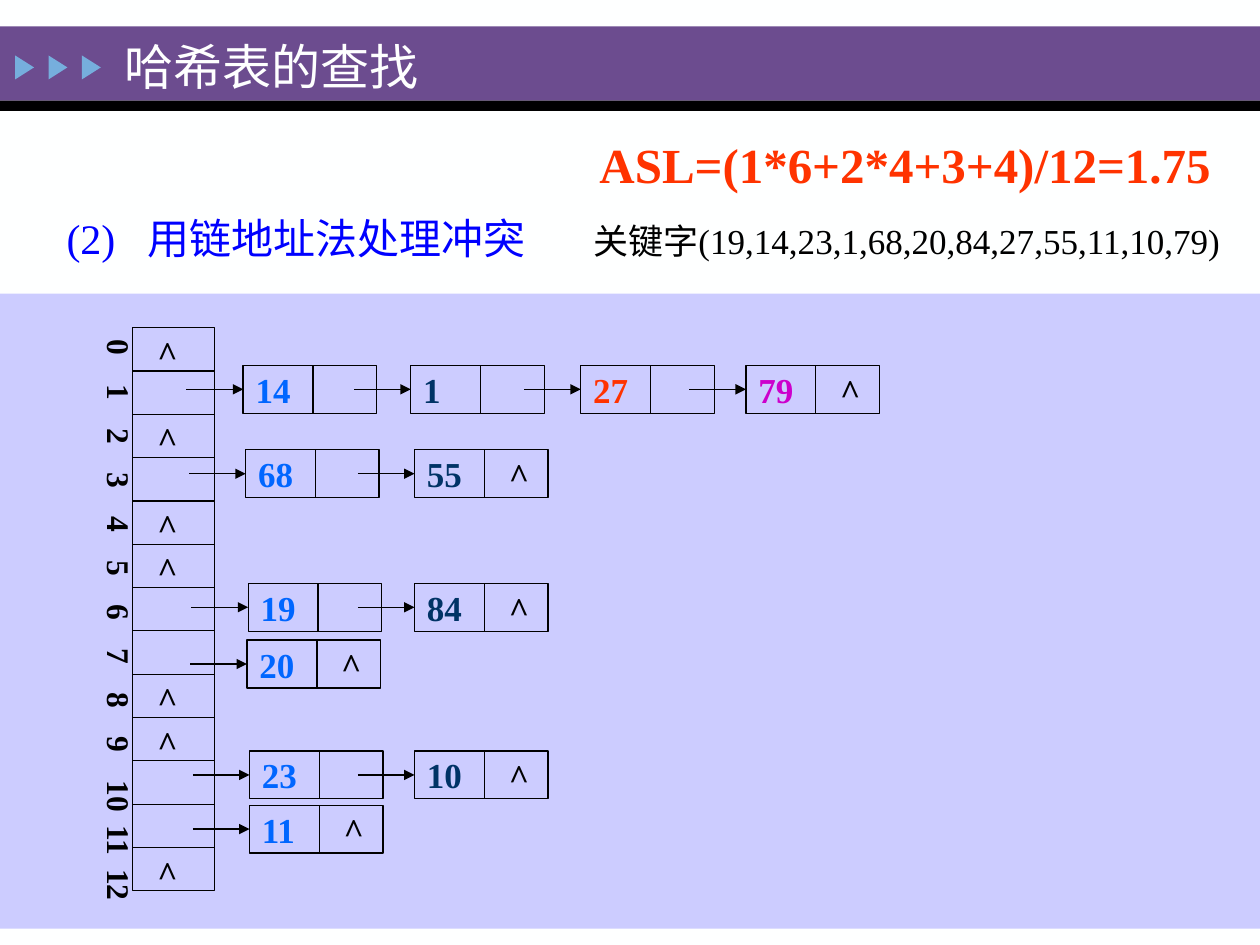
from lxml import etree
from pptx import Presentation, util as u
from pptx.dml.color import RGBColor
from pptx.enum import shapes, text
from pptx.oxml.ns import qn

COLORS = {
    "paper": "FEFFFF", "banner": "6C4C8F", "black": "000000",
    "marker": "76AEDD", "panel": "CCCCFF", "heading": "0000FF",
    "first": "0066FF", "second": "003366", "third": "FF3300", "fourth": "CC00CC",
}
FONT = "Times New Roman"
COLUMNS, ROWS = 100, 75
NODE_ORDER = ["first", "second", "third", "fourth"]
NODE_WIDTH, NODE_HEIGHT, NODE_SPLIT, ARROW_LENGTH = 10.6, 3.8, 5.55, 4.5
BUCKETS = 13
EMPTY_BUCKETS = [0, 2, 4, 5, 8, 9, 12]
CHAINS = [
    (29.0, [("14", 19.3), ("1", 32.6), ("27", 46.1), ("79", 59.2)]),
    (35.7, [("68", 19.5), ("55", 32.9)]),
    (46.3, [("19", 19.7), ("84", 32.9)]),
    (50.8, [("20", 19.6)]),
    (59.6, [("23", 19.8), ("10", 32.9)]),
    (63.9, [("11", 19.8)]),
]

deck = Presentation()
deck.slide_width, deck.slide_height = u.Inches(10), u.Inches(7.5)
COLUMN, ROW = deck.slide_width / COLUMNS, deck.slide_height / ROWS


def color(name):
    return RGBColor.from_string(COLORS[name])


def place(left, top, width, height):
    return [u.Emu(round(n * size)) for n, size in
            zip((left, top, width, height), (COLUMN, ROW, COLUMN, ROW))]


def write(frame, words, size=20, ink="black", bold=False, anchor="TOP", tabs=(), vertical=False):
    frame.word_wrap = True
    frame.vertical_anchor = text.MSO_ANCHOR[anchor]
    if vertical:
        frame._txBody.bodyPr.set("vert", "eaVert")
        frame.margin_bottom = 0
    paragraph = frame.paragraphs[0]
    paragraph.alignment = text.PP_ALIGN.LEFT
    if tabs:
        stops = etree.SubElement(paragraph._p.get_or_add_pPr(), qn("a:tabLst"))
        for stop in tabs:
            etree.SubElement(stops, qn("a:tab"), pos=str(round(stop * COLUMN)), algn="l")
    run = paragraph.add_run()
    run.text = words
    run.font.name, run.font.size, run.font.bold = FONT, u.Pt(size), bold
    run.font.color.rgb = color(ink)


def label(slide, box, words, **style):
    write(slide.shapes.add_textbox(*place(*box)).text_frame, words, **style)


def block(slide, box, fill=None, kind="RECTANGLE"):
    shape = slide.shapes.add_shape(shapes.MSO_SHAPE[kind], *place(*box))
    shape.shadow.inherit = False
    if fill:
        shape.fill.solid()
        shape.fill.fore_color.rgb = color(fill)
        shape.line.fill.background()
    else:
        shape.fill.background()
        shape.line.color.rgb = color("black")
        shape.line.width = u.Pt(0.75)
    return shape


def rule(slide, start, end, target=None):
    line = slide.shapes.add_connector(shapes.MSO_CONNECTOR.STRAIGHT, *place(*start, *end))
    line.line.color.rgb = color("black")
    line.line.width = u.Pt(0.75)
    if target is not None:
        line.end_connect(target, 1)
        etree.SubElement(line.line._get_or_add_ln(), qn("a:tailEnd"), type="triangle")
    etree.SubElement(line._element.spPr, qn("a:effectLst"))


def caret(slide, left, top):
    label(slide, (left, top, 3.6, 4.3), "^", bold=True)


def banner(slide, left, top, width, height):
    bar = height * 0.88
    block(slide, (left, top, width, bar), "banner")
    block(slide, (left, top + bar, width, height - bar), "black")
    for step in range(3):
        marker = block(slide, (left + 1 + 2.65 * step, top + 2.5, 1.9, 1.5),
                       "marker", "ISOSCELES_TRIANGLE")
        marker.rotation = 90
    label(slide, (left + 8.9, top + 0.3, 35.5, 5.6), "哈希表的查找",
          size=28, ink="paper", anchor="MIDDLE")


def introduction(slide, left, top, width, height):
    label(slide, (left, top + 6.2, 40, 5.1), "(2)\t用链地址法处理冲突",
          size=24, ink="heading", tabs=[6.4])
    label(slide, (left + 42.3, top, 50.6, 5.7), "ASL=(1*6+2*4+3+4)/12=1.75",
          size=28, ink="third", bold=True)
    label(slide, (left + 41.8, top + 6.7, 51.8, 4.3),
          "关键字(19,14,23,1,68,20,84,27,55,11,10,79)")


def bucket_column(slide, left, top, width, height):
    pitch = height / BUCKETS
    block(slide, (left, top, width, height))
    for bucket in range(1, BUCKETS):
        y = top + pitch * bucket
        rule(slide, (left, y), (left + width, y))
    label(slide, (left - 4.1, top, 5.1, height + 1.6),
          "\t".join(str(bucket) for bucket in range(BUCKETS)), size=18, bold=True,
          tabs=[3.5 * bucket for bucket in range(1, BUCKETS)], vertical=True)
    for bucket in EMPTY_BUCKETS:
        caret(slide, left + 1, top + pitch * bucket - 0.2)


def chain(slide, top, nodes):
    middle = top + NODE_HEIGHT / 2
    for (key, left), ink in zip(nodes, NODE_ORDER):
        node = block(slide, (left, top, NODE_WIDTH, NODE_HEIGHT))
        write(node.text_frame, key, ink=ink, bold=True, anchor="MIDDLE")
        split = left + NODE_SPLIT
        rule(slide, (split, top), (split, top + NODE_HEIGHT))
        rule(slide, (left - ARROW_LENGTH, middle), (left, middle), node)
    caret(slide, nodes[-1][1] + 6.5, top - 0.2)


def hash_table_slide():
    slide = deck.slides.add_slide(deck.slide_layouts[6])
    slide.background.fill.solid()
    slide.background.fill.fore_color.rgb = color("paper")
    banner(slide, 0, 2.1, COLUMNS, 6.7)
    block(slide, (0, 23.3, COLUMNS, 50.4), "panel")
    introduction(slide, 4.3, 10.2, 93.6, 11.3)
    bucket_column(slide, 10.5, 26, 6.5, 44.7)
    for top, nodes in CHAINS:
        chain(slide, top, nodes)


if __name__ == "__main__":
    hash_table_slide()
    deck.save("out.pptx")
